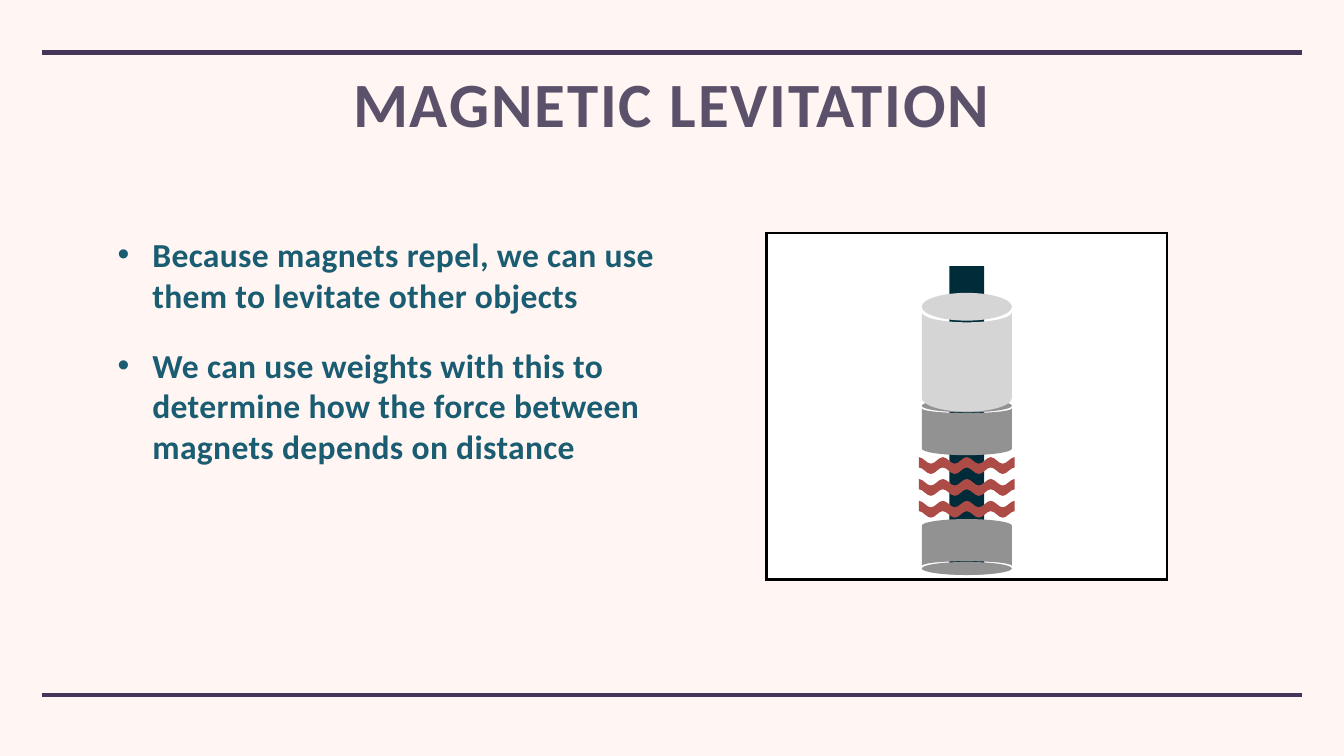
from lxml.etree import SubElement
from pptx import Presentation
from pptx.dml.color import RGBColor
from pptx.enum.shapes import MSO_CONNECTOR, MSO_SHAPE
from pptx.enum.text import MSO_ANCHOR, MSO_AUTO_SIZE, PP_ALIGN
from pptx.oxml.ns import qn
from pptx.util import Cm, Pt

BACKGROUND = RGBColor(0xFF, 0xF5, 0xF2)
RULE = RGBColor(0x44, 0x36, 0x58)
TITLE = RGBColor(0x5B, 0x51, 0x6A)
BODY = RGBColor(0x1A, 0x5C, 0x71)
WHITE = RGBColor(0xFF, 0xFF, 0xFF)
BLACK = RGBColor(0, 0, 0)
ROD = RGBColor(0x00, 0x2C, 0x39)
MAGNET = RGBColor(0x92, 0x92, 0x92)
WEIGHT = RGBColor(0xD5, 0xD5, 0xD5)
FORCE = RGBColor(0xAD, 0x4B, 0x47)

FONT = "Calibri"
AXIS = 48.73  # centre of the frame, the rod and all that is on it, in cm
RADIUS = 2.27
BULLETS = [
    "Because magnets repel, we can use them to levitate other objects",
    "We can use weights with this to determine how the force between "
    "magnets depends on distance",
]


def add_rule(slide, y):
    line = slide.shapes.add_connector(
        MSO_CONNECTOR.STRAIGHT, Cm(2.12), Cm(y), Cm(65.61), Cm(y))
    line.line.color.rgb = RULE
    line.line.width = Pt(6)
    SubElement(line._element.spPr, qn("a:effectLst"))


def fill_placeholder(placeholder, box, paragraphs, size, color, tracking):
    """Place the text; tracking is the letter spacing in points."""
    placeholder.left, placeholder.top, placeholder.width, placeholder.height = map(Cm, box)
    frame = placeholder.text_frame
    frame.text = "\n".join(paragraphs)
    frame.word_wrap = True
    frame.auto_size = MSO_AUTO_SIZE.NONE
    frame.vertical_anchor = MSO_ANCHOR.TOP
    frame.margin_left = frame.margin_right = Cm(0.15)
    frame.margin_top = frame.margin_bottom = Cm(0.15)
    for paragraph in frame.paragraphs:
        for run in paragraph.runs:
            run.font.name = FONT
            run.font.size = Pt(size)
            run.font.bold = True
            run.font.color.rgb = color
            run.font._element.set("spc", str(round(tracking * 100)))
    return frame.paragraphs


def add_title(slide):
    paragraph, = fill_placeholder(slide.shapes.title, (5.79, 3.55, 56.13, 4.57),
                                  ["MAGNETIC LEVITATION"], 90, TITLE, 2.7)
    paragraph.alignment = PP_ALIGN.CENTER
    paragraph.line_spacing = 0.9


def add_bullets(slide):
    paragraphs = fill_placeholder(slide.placeholders[1], (5.78, 11.65, 30.45, 18.06),
                                  BULLETS, 48, BODY, 0.5)
    for paragraph in paragraphs:
        paragraph.space_before = Pt(43)
        properties = paragraph._p.get_or_add_pPr()
        properties.set("marL", str(Cm(1.75)))
        properties.set("indent", str(-Cm(1.75)))
        SubElement(properties, qn("a:buChar"), char="•")


def add_centred_box(slide, top, width, height, color, line_color=None):
    box = slide.shapes.add_shape(
        MSO_SHAPE.RECTANGLE, Cm(AXIS - width / 2), Cm(top), Cm(width), Cm(height))
    box.shadow.inherit = False
    box.fill.solid()
    box.fill.fore_color.rgb = color
    if line_color is None:
        box.line.fill.background()
    else:
        box.line.color.rgb = line_color
        box.line.width = Pt(4)
        SubElement(box.line._get_or_add_ln(), qn("a:miter"), lim="800000")


def add_outlines(slide, outlines, color):
    """Draw closed outlines as one filled shape.

    An outline is a start and a list of segments, in cm. A segment has one
    point for a straight line, or two control points and an end for a curve.
    """
    builder = None
    for (x, y), segments in outlines:
        if builder is None:
            builder = slide.shapes.build_freeform(Cm(x), Cm(y))
        else:
            builder.move_to(Cm(x), Cm(y))
        builder.add_line_segments(
            [(Cm(px), Cm(py)) for segment in segments for px, py in segment], close=True)
    shape = builder.convert_to_shape()
    shape.shadow.inherit = False
    shape.fill.solid()
    shape.fill.fore_color.rgb = color
    shape.line.fill.background()

    lines = iter(list(shape._element.iter(qn("a:lnTo"))))
    for _, segments in outlines:
        for segment in segments:
            first, *others = [next(lines) for _ in segment]
            if others:
                curve = first.makeelement(qn("a:cubicBezTo"))
                first.addprevious(curve)
                for line in (first, *others):
                    curve.append(line[0])
                    line.getparent().remove(line)


def half_ellipse(side, center_y, depth):
    """Two curves across the axis, from the right if side is 1, left if -1."""
    reach = side * RADIUS
    pull = 0.55
    middle_y = center_y + depth
    control_y = center_y + pull * depth
    return [
        [(AXIS + reach, control_y), (AXIS + pull * reach, middle_y), (AXIS, middle_y)],
        [(AXIS - pull * reach, middle_y), (AXIS - reach, control_y), (AXIS - reach, center_y)],
    ]


def add_cylinder(slide, lid_end, far_end, depth, color):
    """Draw a lid and, past a thin gap, a body; the lid may be at either end."""
    if far_end < lid_end:
        depth = -depth
    right, left = AXIS + RADIUS, AXIS - RADIUS
    center = lid_end + depth
    lid = half_ellipse(1, center, depth) + half_ellipse(-1, center, -depth)
    shoulder, foot = lid_end + 1.4 * depth, far_end - depth
    body = (half_ellipse(1, shoulder, 0.72 * depth) + [[(left, foot)]]
            + half_ellipse(-1, foot, depth))
    add_outlines(slide, [((right, center), lid), ((right, shoulder), body)], color)


def wave_edge(x, crest, step, count=8, height=0.33):
    """Curves from crest to trough and back, each one step wide."""
    curves = []
    for index in range(count):
        start_y, end_y = crest, crest + height
        if index % 2:
            start_y, end_y = end_y, start_y
        curves.append([(x + 0.36 * step, start_y), (x + 0.64 * step, end_y),
                       (x + step, end_y)])
        x += step
    return curves


def add_force_waves(slide, top, count=3, pitch=1.1, width=4.83, thickness=0.52):
    left, right = AXIS - width / 2, AXIS + width / 2
    bands = []
    for index in range(count):
        upper = top + index * pitch
        lower = upper + thickness
        bands.append(((left, upper),
                      wave_edge(left, upper, width / 8) + [[(right, lower)]]
                      + wave_edge(right, lower, -width / 8)))
    add_outlines(slide, bands, FORCE)


def main():
    presentation = Presentation()
    presentation.slide_width = Cm(67.74)
    presentation.slide_height = Cm(38.1)
    slide = presentation.slides.add_slide(presentation.slide_layouts[1])
    slide.background.fill.solid()
    slide.background.fill.fore_color.rgb = BACKGROUND

    add_rule(slide, 2.65)
    add_rule(slide, 35.01)
    add_title(slide)
    add_bullets(slide)

    add_centred_box(slide, 11.74, 20.19, 17.45, WHITE, BLACK)
    add_centred_box(slide, 13.41, 1.75, 15.52, ROD)
    add_cylinder(slide, 20.12, 22.94, 0.33, MAGNET)
    add_cylinder(slide, 14.76, 20.75, 0.7, WEIGHT)
    add_cylinder(slide, 28.98, 26.16, 0.33, MAGNET)
    add_force_waves(slide, 23.04)
    presentation.save("out.pptx")


if __name__ == "__main__":
    main()
